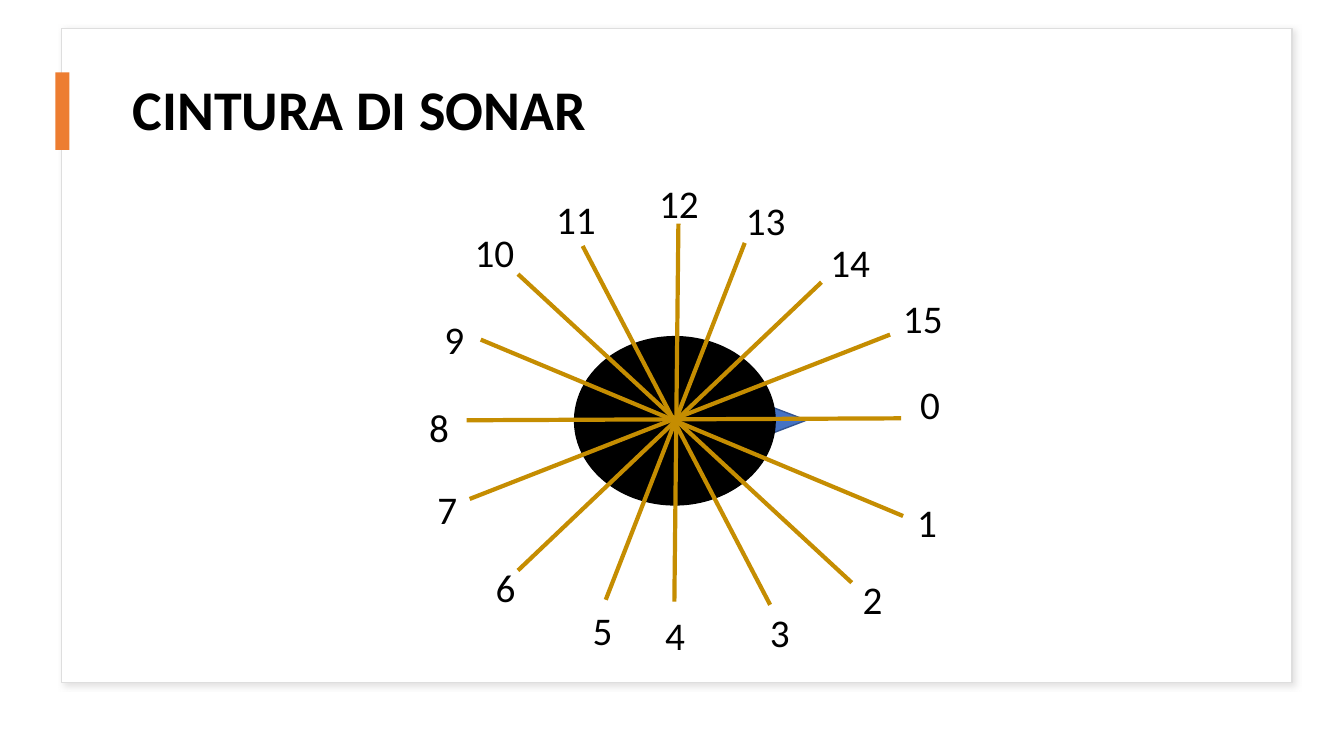
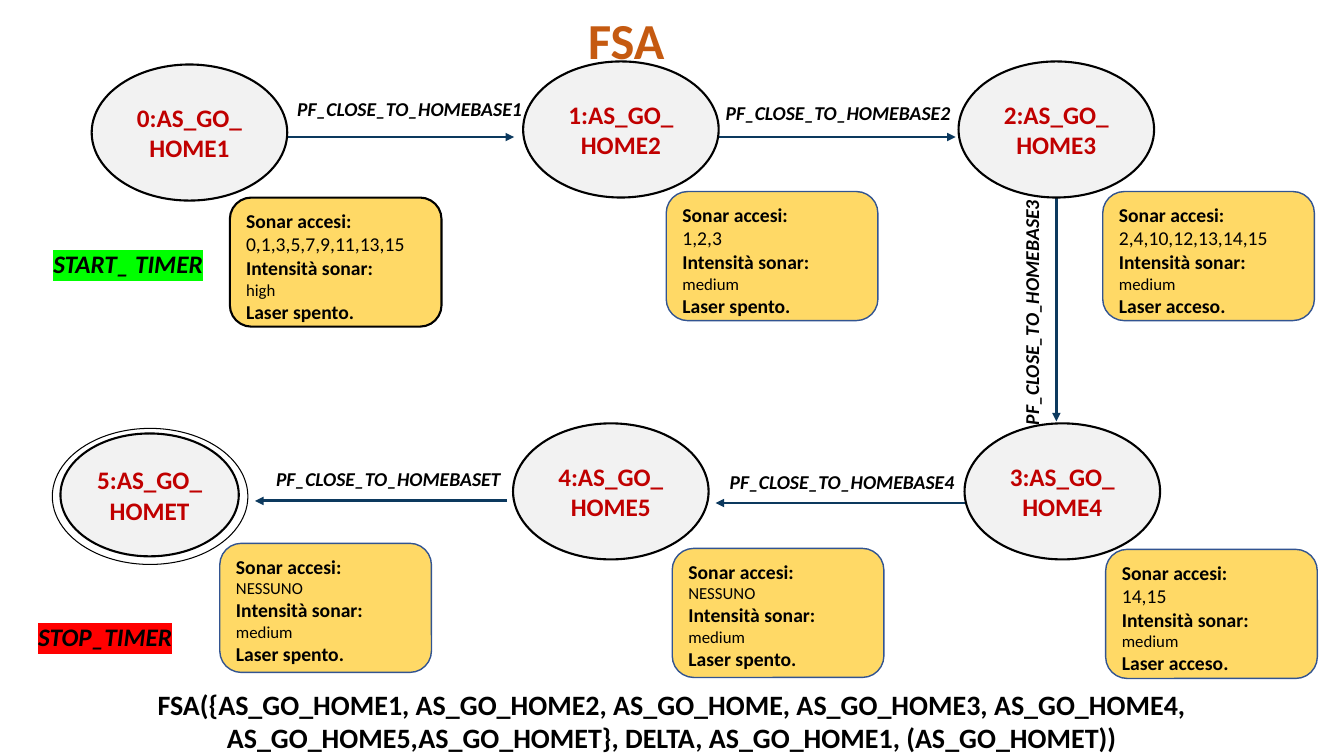
from lxml import etree
from pptx import Presentation
from pptx import util as u
from pptx.dml.color import RGBColor
from pptx.enum import shapes, text
from pptx.oxml import parse_xml
from pptx.oxml.ns import nsdecls, qn

FONT = "Calibri"
BLACK, WHITE, AMBER, BLUE = "000000", "FFFFFF", "C58D01", "325491"
GREY, RED, NAVY, SAND = "F2F2F2", "C00000", "0C395E", "FFD966"
KIND = shapes.MSO_SHAPE
LEFT, MID, RIGHT = text.PP_ALIGN.LEFT, text.PP_ALIGN.CENTER, text.PP_ALIGN.RIGHT
TOP, HALF = text.MSO_ANCHOR.TOP, text.MSO_ANCHOR.MIDDLE

TITLE = dict(size=40, bold=True)
DIGIT = dict(size=28)
STATE = dict(size=18, bold=True, color=RED)
EVENT = dict(size=14, bold=True, italic=True)
TIMER = dict(size=18, bold=True, italic=True)
HEAD = dict(size=14, bold=True)
SUM = dict(size=20, bold=True)

# Sonar number is the list index: ray tip, then label corner
SONARS = [
    ((643.7, 298.8), (650.2, 272.2)), ((645.1, 368.6), (648, 356.4)),
    ((608.4, 416.2), (609.1, 411.1)), ((550.1, 432), (542.9, 434.9)),
    ((481.7, 429.8), (468, 437)), ((432.7, 428.4), (416.2, 433.4)),
    ((370, 407.5), (347, 402.5)), ((335.5, 356.4), (305.3, 347)),
    ((333.4, 300.2), (299.5, 288)), ((343.4, 242.6), (310.3, 225.4)),
    ((370, 195.8), (331.9, 163.4)), ((416.2, 175.7), (390.2, 139.7)),
    ((484.6, 159.8), (463.7, 128.2)), ((532, 173.5), (525.6, 140.4)),
    ((586.8, 201.6), (586.1, 170.6)), ((635.8, 239), (637.9, 210.2)),
]

OVAL, INNER, NOTE = (139.7, 97.2), (127.4, 87.8), (151.2, 92.2)
STATES = [
    ("0:AS_GO_HOME1", (65.5, 46.1), OVAL), ("1:AS_GO_HOME2", (373.7, 43.9), OVAL),
    ("2:AS_GO_HOME3", (684.7, 43.9), OVAL), ("3:AS_GO_HOME4", (689, 302.4), OVAL),
    ("4:AS_GO_HOME5", (366.5, 302.4), OVAL), ("5:AS_GO_HOMET", (43.2, 309.6), INNER),
]
# Corner, sonars on, their text size, power, laser, outline
NOTES = [
    ((164.2, 141.1), "0,1,3,5,7,9,11,13,15", 14, "high", "spento", (BLACK, 1.5)),
    ((475.9, 136.8), "1,2,3", 14, "medium", "spento", (BLUE, 1)),
    ((787.7, 136.8), "2,4,10,12,13,14,15", 14, "medium", "acceso", (BLUE, 1)),
    ((789.8, 392.4), "14,15", 14, "medium", "acceso", (BLUE, 1)),
    ((480.2, 391.7), "NESSUNO", 12, "medium", "spento", (BLUE, 1)),
    ((157, 388.1), "NESSUNO", 12, "medium", "spento", (BLUE, 1)),
]
# Event suffix, label corner, label turn, arrow start, arrow end
MOVES = [
    ("1", (205.2, 65.5), 0, (204.5, 97.9), (367.2, 97.9)),
    ("2", (511.2, 68.4), 0, (513.4, 97.9), (682.6, 97.9)),
    ("3", (648, 209.5), 270, (754.6, 141.1), (754.6, 301)),
    ("4", (514.1, 331.9), 0, (691.2, 359.3), (511.2, 359.3)),
    ("T", (190.1, 329.8), 0, (362.2, 357.8), (182.2, 357.8)),
]
TIMERS = [("START_ TIMER", (31, 174.2), "00FF00"), ("STOP_TIMER", (20.2, 440.6), "FF0000")]
TUPLE = ("FSA({AS_GO_HOME1, AS_GO_HOME2, AS_GO_HOME, AS_GO_HOME3, AS_GO_HOME4, "
         "AS_GO_HOME5,AS_GO_HOMET}, DELTA, AS_GO_HOME1, (AS_GO_HOMET))")


def rgb(code):
    return RGBColor.from_string(code)


def pts(*vals):
    return [u.Pt(v) for v in vals]


def style(font, fmt):
    vals = dict(name=FONT, bold=False, italic=False) | fmt
    font.color.rgb = rgb(vals.pop("color", BLACK))
    vals["size"] = u.Pt(vals["size"])
    for key, val in vals.items():
        setattr(font, key, val)


def write(box, lines, align=LEFT, anchor=TOP, space=None):
    """Fill a shape with (text, format) lines; space is line spacing."""
    frame = box.text_frame
    frame.word_wrap, frame.vertical_anchor = True, anchor
    for i, (words, fmt) in enumerate(lines):
        para = frame.add_paragraph() if i else frame.paragraphs[0]
        para.alignment = align
        if space:
            para.line_spacing, para.space_after = space, u.Pt(6)
        run = para.add_run()
        run.text = words
        style(run.font, fmt)


def label(slide, words, at, fmt, **opts):
    box = slide.shapes.add_textbox(*pts(*at))
    write(box, [(words, fmt)], **opts)
    return box


def shape(slide, kind, at, fill=None, line=None):
    item = slide.shapes.add_shape(kind, *pts(*at))
    item.shadow.inherit = False
    if fill:
        item.fill.solid()
        item.fill.fore_color.rgb = rgb(fill)
    else:
        item.fill.background()
    if line:
        item.line.color.rgb, item.line.width = rgb(line[0]), u.Pt(line[1])
    else:
        item.line.fill.background()
    return item


def join(slide, start, end, color, width, arrow=False):
    item = slide.shapes.add_connector(shapes.MSO_CONNECTOR.STRAIGHT, *pts(*start, *end))
    item.line.color.rgb, item.line.width = rgb(color), u.Pt(width)
    props = item.element.spPr
    if arrow:
        etree.SubElement(props.find(qn("a:ln")), qn("a:tailEnd"), type="triangle")
    etree.SubElement(props, qn("a:effectLst"))


def shade(item):
    """Give a shape a soft drop shadow to the lower right."""
    props = item.element.spPr
    props.remove(props.find(qn("a:effectLst")))
    props.append(parse_xml(
        f'<a:effectLst {nsdecls("a")}><a:outerShdw blurRad="{u.Pt(4)}" dist="{u.Pt(3)}" '
        'dir="2700000" algn="tl" rotWithShape="0"><a:srgbClr val="C5C3C3">'
        '<a:alpha val="50000"/></a:srgbClr></a:outerShdw></a:effectLst>'))


def mark(box, color):
    """Highlight the text of a box."""
    run = box.text_frame.paragraphs[0].runs[0]
    tag = parse_xml(f'<a:highlight {nsdecls("a")}><a:srgbClr val="{color}"/></a:highlight>')
    run.font.fill  # the highlight belongs right after the fill
    run._r.rPr.find(qn("a:solidFill")).addnext(tag)


def sonar(slide):
    shade(shape(slide, KIND.RECTANGLE, (43.9, 20.2, 879.1, 467.3), WHITE, ("DEDEDE", 1)))
    label(slide, "CINTURA DI SONAR", (87.8, 40.3, 805.7, 79.9), TITLE, anchor=HALF, space=0.9)
    shape(slide, KIND.RECTANGLE, (39.6, 51.8, 10.1, 55.4), "ED7D31")
    nose = shape(slide, KIND.ISOSCELES_TRIANGLE, (517.7, 267.1, 50.4, 66.2), "4472C4", (BLUE, 1))
    nose.rotation = 90
    shape(slide, KIND.OVAL, (410.4, 240.5, 143.3, 120.2), BLACK, (BLACK, 1))
    half = len(SONARS) // 2
    for (tip, _), (back, _) in zip(SONARS[:half], SONARS[half:]):
        join(slide, tip, back, AMBER, 3)
    for num, (_, spot) in enumerate(SONARS):
        label(slide, str(num), (*spot, 60, 38), DIGIT, space=0.9)


def graph(slide):
    label(slide, TUPLE, (0, 490, 960, 50), SUM, align=MID, anchor=HALF)
    for spot, on, size, power, laser, line in NOTES:
        note = shape(slide, KIND.ROUNDED_RECTANGLE, (*spot, *NOTE), SAND, line)
        write(note, [("Sonar accesi:", HEAD), (on, dict(size=size)),
                     ("Intensità sonar:", HEAD), (power, dict(size=12)),
                     (f"Laser {laser}.", HEAD)])
    label(slide, "FSA", (405.4, 2.9, 76.3, 51.1),
          dict(size=36, bold=True, color="C55A11"), align=RIGHT)
    for end, spot, turn, start, stop in MOVES:
        join(slide, start, stop, NAVY, 2, arrow=True)
        box = label(slide, "PF_CLOSE_TO_HOMEBASE" + end, (*spot, 178, 24.5), EVENT)
        box.rotation = turn
    shape(slide, KIND.OVAL, (37.4, 306, *OVAL), line=(BLACK, 0.75))
    for name, spot, size in STATES:
        oval = shape(slide, KIND.OVAL, (*spot, *size), GREY, (BLACK, 1.5))
        write(oval, [(name, STATE)], align=MID, anchor=HALF)
    for words, spot, color in TIMERS:
        mark(label(slide, words, (*spot, 130, 28.8), TIMER), color)


def main():
    deck = Presentation()
    deck.slide_width, deck.slide_height = pts(960, 540)
    for draw in (sonar, graph):
        draw(deck.slides.add_slide(deck.slide_layouts[6]))
    deck.save("out.pptx")


if __name__ == "__main__":
    main()
